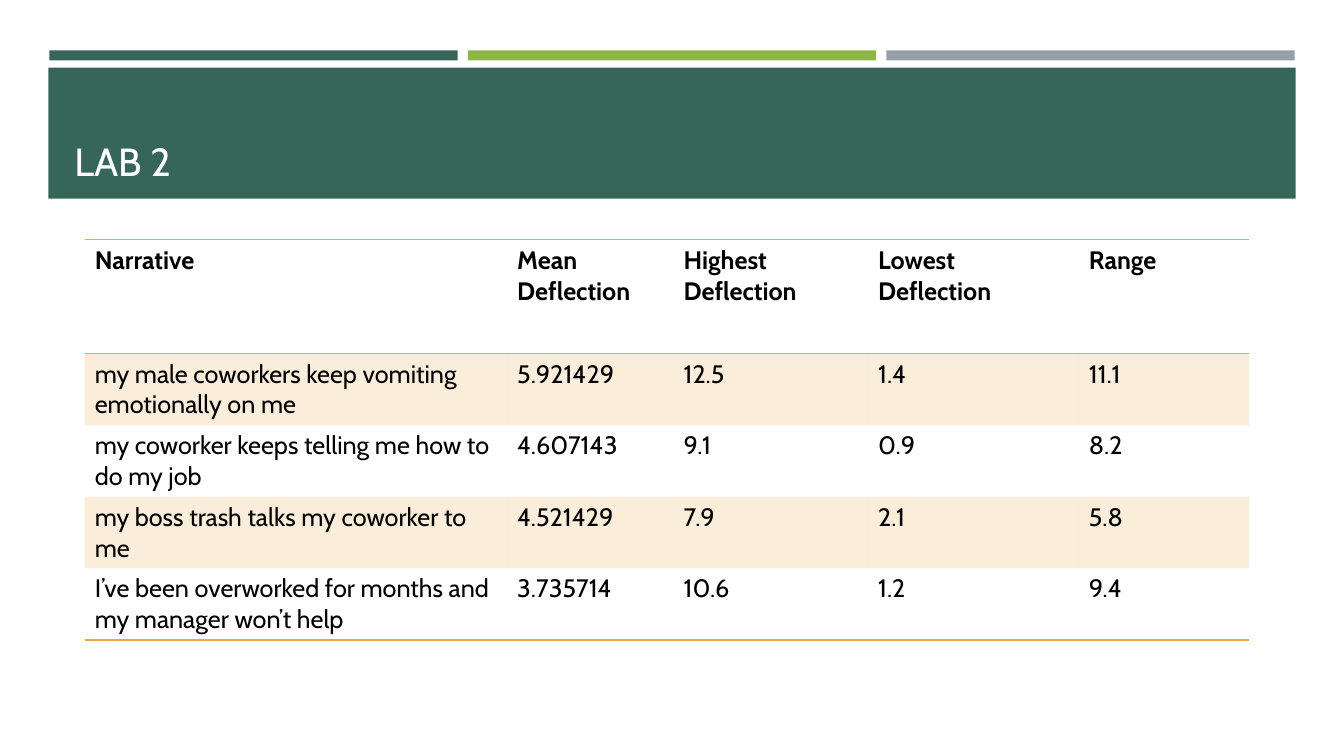
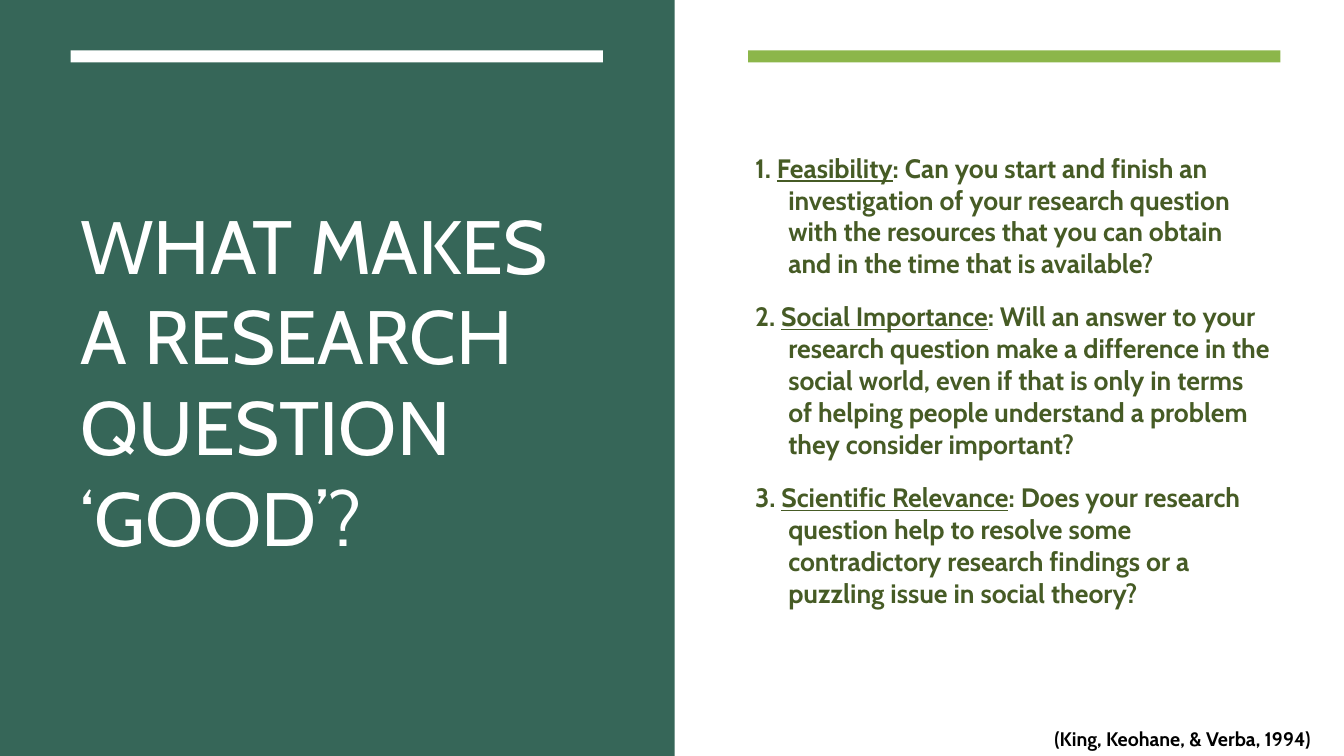
from pptx import Presentation
from pptx.dml.color import RGBColor
from pptx.enum.shapes import MSO_SHAPE
from pptx.enum.text import MSO_ANCHOR
from pptx.oxml import parse_xml
from pptx.oxml.ns import nsdecls, qn
from pptx.util import Emu, Pt

# Shared look
SCALE = 9144  # EMU in one px, 100 px to the inch
WIDE, HIGH = 1333, 750
FONT = "Cabin"
GREEN, LIME, GRAY, GOLD = "366658", "8CB64A", "969FA7", "E8A844"
OLIVE, WHITE, BLACK = "465B25", "FFFFFF", "000000"
NO_STYLE = "{2D5ABB26-0587-4C30-8999-92F81FD0307C}"

HEAD = ["Narrative", "Mean Deflection", "Highest Deflection",
        "Lowest Deflection", "Range"]
ROWS = [
    ["my male coworkers keep vomiting emotionally on me",
     "5.921429", "12.5", "1.4", "11.1"],
    ["my coworker keeps telling me how to do my job",
     "4.607143", "9.1", "0.9", "8.2"],
    ["my boss trash talks my coworker to me",
     "4.521429", "7.9", "2.1", "5.8"],
    ["I’ve been overworked for months and my manager won’t help",
     "3.735714", "10.6", "1.2", "9.4"],
]
POINTS = [
    ("Feasibility", ": Can you start and finish an investigation of your "
     "research question with the resources that you can obtain and in the "
     "time that is available?"),
    ("Social Importance", ": Will an answer to your research question make a "
     "difference in the social world, even if that is only in terms of "
     "helping people understand a problem they consider important?"),
    ("Scientific Relevance", ": Does your research question help to resolve "
     "some contradictory research findings or a puzzling issue in social "
     "theory?"),
]


def px(num):
    return Emu(num * SCALE)


def color(code):
    return RGBColor.from_string(code)


def rect(slide, box, fill):
    shape = slide.shapes.add_shape(MSO_SHAPE.RECTANGLE, *map(px, box))
    shape.shadow.inherit = False
    shape.fill.solid()
    shape.fill.fore_color.rgb = color(fill)
    shape.line.fill.background()


def text(slide, box, anchor=MSO_ANCHOR.TOP, wrap=True):
    frame = slide.shapes.add_textbox(*map(px, box)).text_frame
    frame.word_wrap = wrap
    frame.vertical_anchor = anchor
    return frame


def run(para, words, size, ink, bold=False, under=False):
    part = para.add_run()
    part.text = words
    font = part.font
    font.name, font.size, font.bold = FONT, Pt(size), bold
    font.color.rgb = color(ink)
    if under:
        font.underline = True


def title(slide, box, words, size, anchor):
    run(text(slide, box, anchor).paragraphs[0], words, size, WHITE)


def banner(slide, box, words):
    left, top, width, height = box
    # Three thin bars above the band
    for i, fill in enumerate((GREEN, LIME, GRAY)):
        rect(slide, (left + 1 + 415 * i, top - 17, 405, 10), fill)
    rect(slide, box, GREEN)
    title(slide, (left + 16, top + 10, width - 31, height - 19), words, 28,
          MSO_ANCHOR.BOTTOM)


def border(cell, side):
    cell._tc.get_or_add_tcPr().append(parse_xml(
        f'<a:{side} {nsdecls("a")} w="12700"><a:solidFill>'
        f'<a:srgbClr val="{GOLD}"/></a:solidFill></a:{side}>'))


def tint(cell):
    cell.fill.solid()
    cell.fill.fore_color.rgb = color(GOLD)
    for node in cell._tc.tcPr.find(qn("a:solidFill")):
        node.append(parse_xml(f'<a:alpha {nsdecls("a")} val="20000"/>'))


def grid(slide, box, widths, heights):
    data = [HEAD] + ROWS
    frame = slide.shapes.add_table(len(data), len(HEAD), *map(px, box))
    table = frame.table
    table.first_row = table.horz_banding = False
    for node in frame.element.iter(qn("a:tableStyleId")):
        node.text = NO_STYLE
    for col, width in zip(table.columns, widths):
        col.width = px(width)
    for i, (row, height) in enumerate(zip(data, heights)):
        table.rows[i].height = px(height)
        for j, words in enumerate(row):
            cell = table.cell(i, j)
            run(cell.text_frame.paragraphs[0], words, 18, BLACK, i == 0)
            # Rules around the head and below the last row
            if i == 0:
                border(cell, "lnT")
            if i in (0, len(ROWS)):
                border(cell, "lnB")
            if i % 2:
                tint(cell)
            else:
                cell.fill.background()


def panel(slide, box, words):
    left, top, width, height = box
    rect(slide, box, GREEN)
    rect(slide, (left + 70, top + 50, 528, 12), WHITE)
    title(slide, (left + 70, top + 113, 528, 528), words, 54,
          MSO_ANCHOR.MIDDLE)


def points(slide, box):
    left, top, width, height = box
    rect(slide, (left + 3, top, width - 3, 12), LIME)
    frame = text(slide, (left, top + 63, width, height - 63),
                 MSO_ANCHOR.MIDDLE)
    for i, (name, rest) in enumerate(POINTS):
        para = frame.add_paragraph() if i else frame.paragraphs[0]
        para.space_before, para.space_after = Pt(9), Pt(6)
        props = para._p.get_or_add_pPr()
        props.set("marL", str(px(33)))
        props.set("indent", str(px(-33)))
        run(para, f"{i + 1}. ", 19, OLIVE, True)
        run(para, name, 19, OLIVE, True, True)
        run(para, rest, 19, OLIVE, True)


def source(slide, box, words):
    frame = text(slide, box, wrap=False)
    run(frame.paragraphs[0], words, 14, BLACK, True)


def main():
    deck = Presentation()
    deck.slide_width, deck.slide_height = px(WIDE), px(HIGH)
    blank = deck.slide_layouts[6]

    # Table of results
    slide = deck.slides.add_slide(blank)
    banner(slide, (48, 67, 1237, 130), "LAB 2")
    grid(slide, (84, 238, 1155, 393), (419, 165, 193, 209, 169),
         [113] + [71] * len(ROWS))

    # Research question
    slide = deck.slides.add_slide(blank)
    panel(slide, (0, 0, 669, HIGH), "WHAT MAKES A RESEARCH QUESTION ‘GOOD’?")
    points(slide, (739, 50, 531, 591))
    source(slide, (1036, 716, 297, 34), "(King, Keohane, & Verba, 1994)")

    deck.save("out.pptx")


if __name__ == "__main__":
    main()
